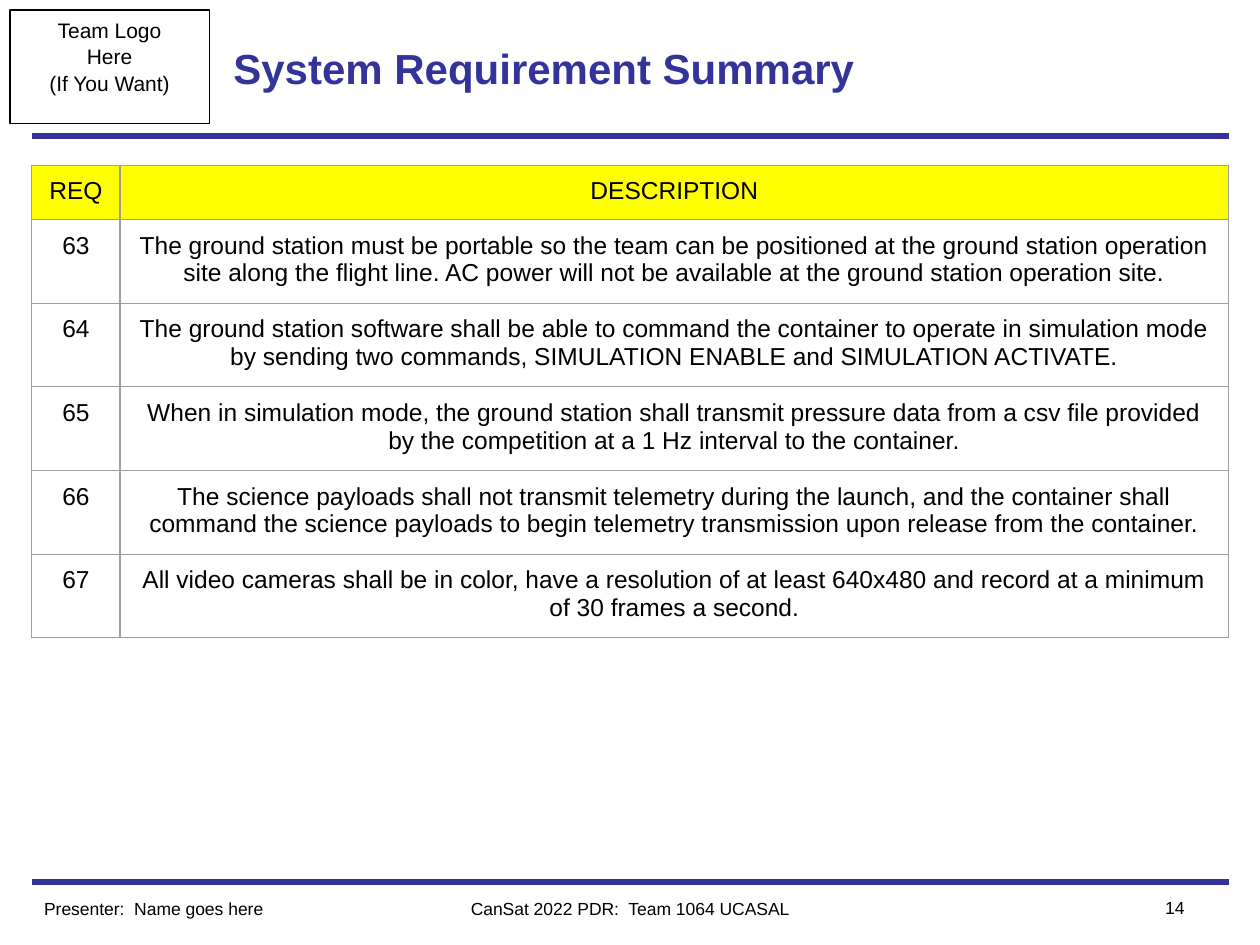
from lxml.etree import SubElement
from pptx import Presentation
from pptx.dml.color import RGBColor
from pptx.enum.shapes import MSO_CONNECTOR, MSO_SHAPE
from pptx.enum.text import MSO_ANCHOR, MSO_AUTO_SIZE, PP_ALIGN
from pptx.oxml.ns import qn
from pptx.util import Cm, Pt

COLORS = {
    "navy": "333399",
    "black": "000000",
    "white": "FFFFFF",
    "header": "FFFF00",
    "grid": "9E9E9E",
}
FONT = "Arial"
MARGIN = 0.64
CONTENT_WIDTH = 24.13
TITLE_ONLY = 5

REQUIREMENTS = [
    ("REQ", "DESCRIPTION"),
    ("63", "The ground station must be portable so the team can be positioned at the "
           "ground station operation site along the flight line. AC power will not be "
           "available at the ground station operation site."),
    ("64", "The ground station software shall be able to command the container to operate "
           "in simulation mode by sending two commands, SIMULATION ENABLE and "
           "SIMULATION ACTIVATE."),
    ("65", "When in simulation mode, the ground station shall transmit pressure data from "
           "a csv file provided by the competition at a 1 Hz interval to the container."),
    ("66", "The science payloads shall not transmit telemetry during the launch, and the "
           "container shall command the science payloads to begin telemetry transmission "
           "upon release from the container."),
    ("67", "All video cameras shall be in color, have a resolution of at least 640x480 and "
           "record at a minimum of 30 frames a second."),
]


def color(name):
    return RGBColor.from_string(COLORS[name])


def style_text(frame, size, align, ink="black", bold=False):
    for paragraph in frame.paragraphs:
        paragraph.alignment = align
        paragraph.font.name = FONT
        paragraph.font.size = Pt(size)
        paragraph.font.bold = bold
        paragraph.font.color.rgb = color(ink)


def add_rule(slide, y):
    rule = slide.shapes.add_connector(
        MSO_CONNECTOR.STRAIGHT, Cm(MARGIN), Cm(y), Cm(MARGIN + CONTENT_WIDTH), Cm(y))
    rule.line.color.rgb = color("navy")
    rule.line.width = Pt(3)
    SubElement(rule._element.spPr, qn("a:effectLst"))


def add_box(slide, left, top, width, height, outline, weight):
    box = slide.shapes.add_shape(
        MSO_SHAPE.RECTANGLE, Cm(left), Cm(top), Cm(width), Cm(height))
    box.shadow.inherit = False
    box.fill.solid()
    box.fill.fore_color.rgb = color("white")
    box.line.color.rgb = color(outline)
    box.line.width = Pt(weight)
    return box


def add_logo_space(slide):
    frame = add_box(slide, 0.2, 0.2, 4.02, 2.29, "black", 0.75).text_frame
    frame.text = "Team Logo\nHere\n(If You Want)"
    frame.vertical_anchor = MSO_ANCHOR.TOP
    style_text(frame, 12, PP_ALIGN.CENTER)
    for paragraph in frame.paragraphs:
        paragraph.line_spacing = 1.05


def set_title(slide, text):
    title = slide.shapes.title
    title.left, title.top, title.width, title.height = Cm(4.45), Cm(0.2), Cm(16.51), Cm(2.34)
    frame = title.text_frame
    frame.text = text
    frame.auto_size = MSO_AUTO_SIZE.NONE
    frame.vertical_anchor = MSO_ANCHOR.MIDDLE
    style_text(frame, 24, PP_ALIGN.LEFT, "navy", bold=True)


def add_footer(slide, text, left, top, width, align):
    frame = slide.shapes.add_textbox(Cm(left), Cm(top), Cm(width), Cm(0.69)).text_frame
    frame.word_wrap = True
    frame.text = text
    style_text(frame, 10, align)


def add_borders(cell):
    properties = cell._tc.get_or_add_tcPr()
    for position, side in enumerate(("a:lnL", "a:lnR", "a:lnT", "a:lnB")):
        border = SubElement(properties, qn(side), w=str(Pt(0.75)))
        properties.insert(position, border)
        fill = SubElement(border, qn("a:solidFill"))
        SubElement(fill, qn("a:srgbClr"), val=COLORS["grid"])


def add_requirements(slide):
    row_height = Cm(1.07)
    table = slide.shapes.add_table(
        len(REQUIREMENTS), 2, Cm(MARGIN), Cm(3.33), Cm(CONTENT_WIDTH),
        row_height * len(REQUIREMENTS)).table
    table.first_row = False
    table.horz_banding = False
    table.columns[0].width = Cm(1.78)
    table.columns[1].width = Cm(CONTENT_WIDTH - 1.78)
    for row, requirement in enumerate(REQUIREMENTS):
        table.rows[row].height = row_height
        for column, text in enumerate(requirement):
            cell = table.cell(row, column)
            cell.text = text
            cell.margin_left = cell.margin_right = Cm(0.25)
            cell.margin_top = cell.margin_bottom = Cm(0.25)
            style_text(cell.text_frame, 14, PP_ALIGN.CENTER)
            if row == 0:
                cell.fill.solid()
                cell.fill.fore_color.rgb = color("header")
            else:
                cell.fill.background()
            add_borders(cell)


def main():
    deck = Presentation()
    deck.slide_width, deck.slide_height = Cm(25.4), Cm(19.05)
    slide = deck.slides.add_slide(deck.slide_layouts[TITLE_ONLY])
    for y in (17.78, 2.74):
        add_rule(slide, y)
    add_logo_space(slide)
    add_box(slide, 22.66, 0.84, 1.47, 0.84, "white", 2)
    set_title(slide, "System Requirement Summary")
    add_footer(slide, "CanSat 2022 PDR:  Team 1064 UCASAL", 7.62, 17.98, 10.16, PP_ALIGN.CENTER)
    add_footer(slide, "14", 22.23, 17.95, 1.9, PP_ALIGN.RIGHT)
    add_footer(slide, "Presenter:  Name goes here", MARGIN, 17.98, 6.35, PP_ALIGN.LEFT)
    add_requirements(slide)
    deck.save("out.pptx")


if __name__ == "__main__":
    main()
